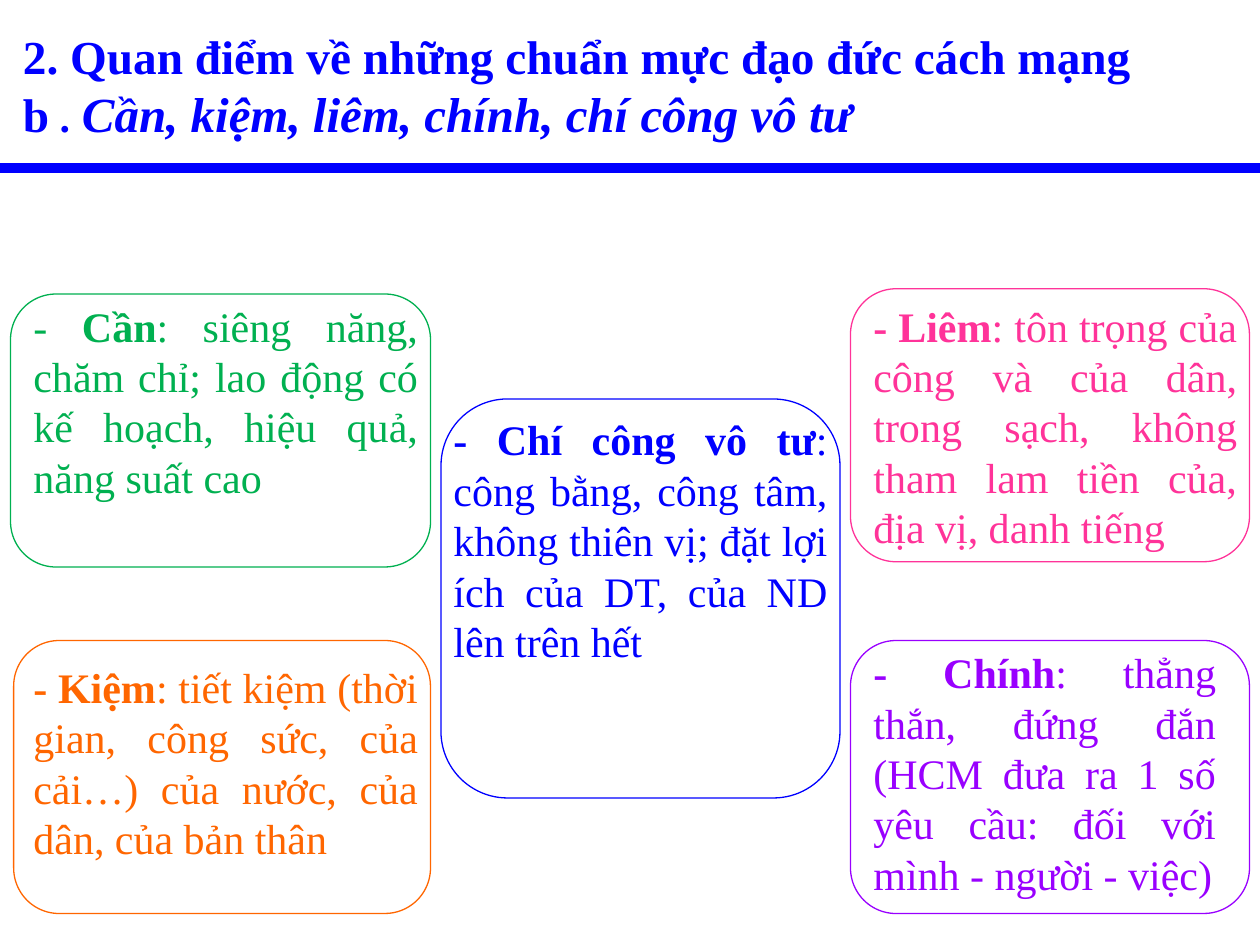
from lxml import etree
from pptx import Presentation
from pptx.dml.color import RGBColor
from pptx.enum import shapes, text
from pptx.oxml.ns import qn
from pptx.util import Pt

BLUE = "0000FF"


def rgb(color):
    return RGBColor.from_string(color)


def add_text(s, box, color, paragraphs):
    """Add justified text; each run is (wording, size, bold, italic)."""
    tb = s.shapes.add_textbox(*map(Pt, box))
    tf = tb.text_frame
    tf.word_wrap = True
    tf.auto_size = text.MSO_AUTO_SIZE.SHAPE_TO_FIT_TEXT
    for i, runs in enumerate(paragraphs):
        p = tf.add_paragraph() if i else tf.paragraphs[0]
        p.alignment = text.PP_ALIGN.JUSTIFY
        for wording, size, bold, italic in runs:
            r = p.add_run()
            r.text = wording
            r.font.name = "Times New Roman"
            r.font.size = Pt(size)
            r.font.bold = bold
            r.font.italic = italic
            r.font.color.rgb = rgb(color)


prs = Presentation()
prs.slide_width, prs.slide_height = Pt(720), Pt(540)
s = prs.slides.add_slide(prs.slide_layouts[6])

rule = s.shapes.add_connector(shapes.MSO_CONNECTOR.STRAIGHT, Pt(0), Pt(96), Pt(720), Pt(96))
rule.line.color.rgb = rgb(BLUE)
rule.line.width = Pt(6)
etree.SubElement(rule._element.spPr, qn("a:effectLst"))

# colour, card box, text box, (wording, bold) runs
virtues = [
    ("00B050", (6, 168, 240, 156), (12, 168, 234, 122.4),
     [("- ", False), ("Cần", True),
      (": siêng năng, chăm chỉ; lao động có kế hoạch, hiệu quả, năng suất cao", False)]),
    ("FF6600", (7.8, 366, 238.2, 156), (12, 374.4, 234, 122.4),
     [("- Kiệm", True),
      (": tiết kiệm (thời gian, công sức, của cải…) của nước, của dân, của bản thân", False)]),
    ("FF3399", (486, 165, 228, 156), (492, 168, 222, 151.2),
     [("- Liêm", True),
      (": tôn trọng của công và của dân, trong sạch, không tham lam tiền của, "
       "địa vị, danh tiếng", False)]),
    ("9900FF", (486, 366, 228, 156), (492, 366, 210, 151.2),
     [("- Chính", True),
      (": thẳng thắn, đứng đắn (HCM đưa ra 1 số yêu cầu: đối với mình - người - việc)", False)]),
    (BLUE, (252, 228, 228, 228), (252, 233, 228, 151.2),
     [("- Chí công vô tư", True),
      (": công bằng, công tâm, không thiên vị; đặt lợi ích của DT, của ND lên trên hết", False)]),
]
for color, card_box, text_box, runs in virtues:
    sp = s.shapes.add_shape(shapes.MSO_SHAPE.ROUNDED_RECTANGLE, *map(Pt, card_box))
    sp.shadow.inherit = False
    sp.fill.solid()
    sp.fill.fore_color.rgb = rgb("FFFFFF")
    sp.line.color.rgb = rgb(color)
    sp.line.width = Pt(0.75)
    add_text(s, text_box, color, [[(wording, 24, bold, False) for wording, bold in runs]])

add_text(s, (6, 12, 690, 73.4), BLUE, [
    [("2. Quan điểm về những chuẩn mực đạo đức cách mạng", 27, True, False)],
    [("b", 27, True, False), (" .", 24, True, False), (" ", 27, True, False),
     ("Cần, kiệm, liêm, chính, chí công vô tư", 28, True, True)],
])

prs.save("out.pptx")
